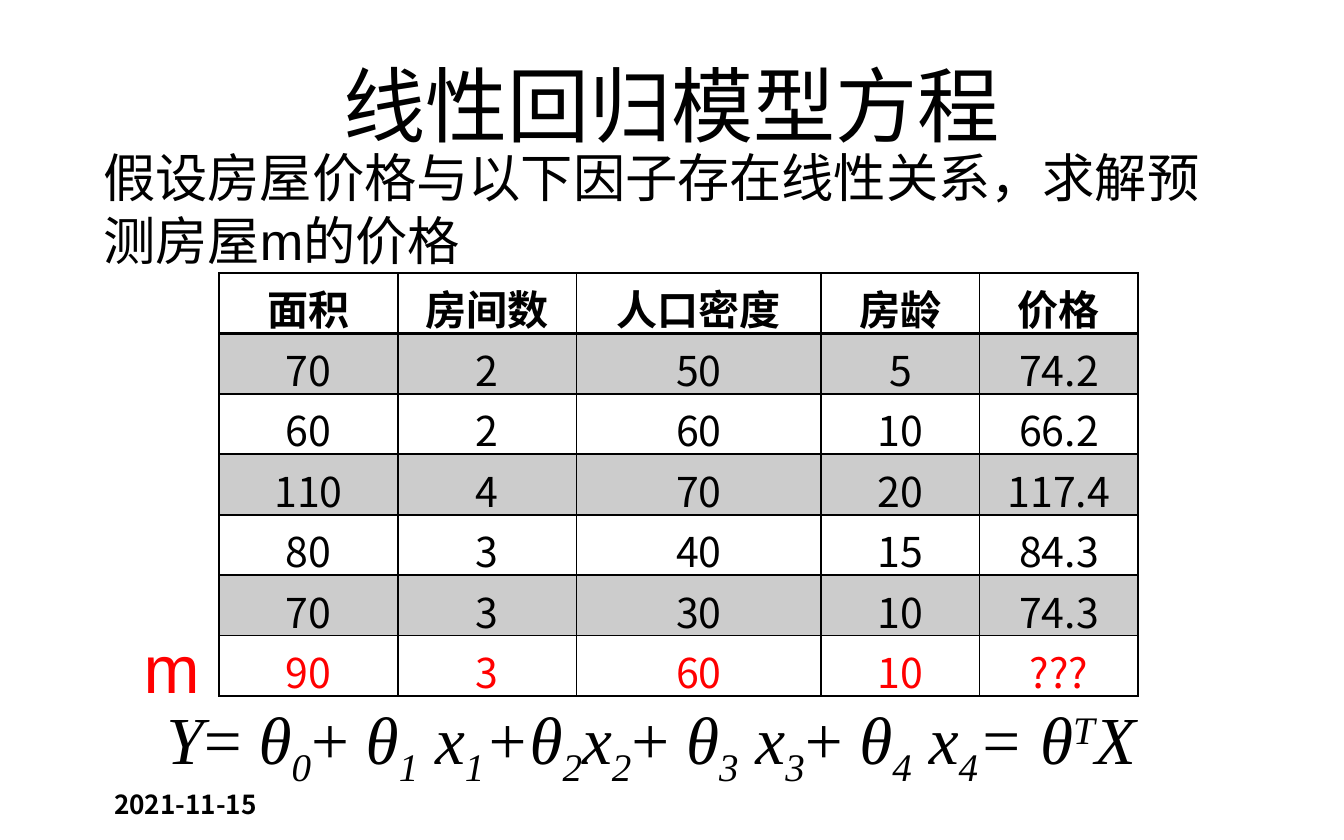
import pptx
import pptx.util
import pptx.dml.color
import pptx.enum.text
import pptx.oxml.ns
from dataclasses import dataclass
from lxml import etree

Inches = pptx.util.Inches
Pt = pptx.util.Pt
Align = pptx.enum.text.PP_ALIGN
Anchor = pptx.enum.text.MSO_ANCHOR
qn = pptx.oxml.ns.qn


@dataclass(frozen=True)
class Theme:
    ink: str = "000000"
    red: str = "FF0000"
    serif: str = "Times New Roman"
    sans: str = "Arial"
    han: str = "Noto Sans CJK SC"
    title: int = 44
    math: int = 36
    body: int = 28
    cell: int = 22
    date: int = 14


THEME = Theme()
HEAD = ["面积", "房间数", "人口密度", "房龄", "价格"]
HOMES = [
    ["70", "2", "50", "5", "74.2"],
    ["60", "2", "60", "10", "66.2"],
    ["110", "4", "70", "20", "117.4"],
    ["80", "3", "40", "15", "84.3"],
    ["70", "3", "30", "10", "74.3"],
    ["90", "3", "60", "10", "???"],
]
WIDTHS = [1.33, 1.33, 1.82, 1.18, 1.18]
ROW = 0.45
TERMS = [
    ("Y", 0, True), ("= ", 0, False), ("θ", 0, True), ("0", -25, True),
    ("+ ", 0, False), ("θ", 0, True), ("1", -25, True), (" x", 0, True),
    ("1", -25, True), ("+θ", 0, True), ("2", -25, True), ("x", 0, True),
    ("2", -25, True), ("+ ", 0, False), ("θ", 0, True), ("3", -25, True),
    (" x", 0, True), ("3", -25, True), ("+ ", 0, False), ("θ", 0, True),
    ("4", -25, True), (" x", 0, True), ("4", -25, True), ("= θ", 0, True),
    ("T", 30, True), ("X", 0, True),
]


def style(para, size, face, color=THEME.ink, bold=False):
    font = para.font
    font.size, font.name, font.bold = Pt(size), face, bold
    font.color.rgb = pptx.dml.color.RGBColor.from_string(color)


def place(shape, left, top, width, height):
    shape.left, shape.top = Inches(left), Inches(top)
    shape.width, shape.height = Inches(width), Inches(height)


def add_title(slide, text):
    title = slide.shapes.title
    place(title, 0.75, 0.41, 8.5, 0.72)
    title.text_frame.text = text
    title.text_frame.vertical_anchor = Anchor.MIDDLE
    para = title.text_frame.paragraphs[0]
    para.alignment = Align.CENTER
    style(para, THEME.title, THEME.serif)


def add_text(slide, box, text, size, face, color=THEME.ink, bold=False):
    shape = slide.shapes.add_textbox(*map(Inches, box))
    shape.text_frame.word_wrap = True
    para = shape.text_frame.paragraphs[0]
    para.text = text
    style(para, size, face, color, bold)
    return para


def add_math(slide, box):
    para = add_text(slide, box, "", THEME.math, THEME.serif)
    for text, base, slant in TERMS:
        run = para.add_run()
        run.text = text
        run.font.italic = slant
        if base:
            run.font._element.set("baseline", str(base * 1000))


def add_edge(props, side, width):
    line = etree.SubElement(props, qn(f"a:ln{side}"), w=str(Pt(width)))
    fill = etree.SubElement(line, qn("a:solidFill"))
    etree.SubElement(fill, qn("a:srgbClr"), val=THEME.ink)


def fill_cell(cell, text, row):
    head, last = row == 0, row == len(HOMES)
    cell.margin_top = cell.margin_bottom = Inches(0.04)
    para = cell.text_frame.paragraphs[0]
    para.text = text
    para.alignment = Align.CENTER
    style(para, THEME.cell, THEME.han, THEME.red if last else THEME.ink, head)
    props = cell._tc.get_or_add_tcPr()
    for side in "LRTB":
        heavy = (side == "B" and head) or (side == "T" and row == 1)
        add_edge(props, side, 2 if heavy else 1)
    if row % 2:
        cell.fill.solid()
        cell.fill.fore_color.rgb = pptx.dml.color.RGBColor.from_string(THEME.ink)
        tint = props.find(qn("a:solidFill")).find(qn("a:srgbClr"))
        etree.SubElement(tint, qn("a:alpha"), val="20000")
    else:
        cell.fill.background()


def add_grid(slide, left, top):
    rows = [HEAD] + HOMES
    size = Inches(sum(WIDTHS)), Inches(ROW * len(rows))
    frame = slide.shapes.add_table(
        len(rows), len(HEAD), Inches(left), Inches(top), *size)
    table = frame.table
    table.first_row = table.horz_banding = False
    for col, width in zip(table.columns, WIDTHS):
        col.width = Inches(width)
    for i, row in enumerate(rows):
        table.rows[i].height = Inches(ROW)
        for j, text in enumerate(row):
            fill_cell(table.cell(i, j), text, i)


def main():
    deck = pptx.Presentation()
    deck.slide_width, deck.slide_height = Inches(10), Inches(6.25)
    slide = deck.slides.add_slide(deck.slide_layouts[5])
    add_title(slide, "线性回归模型方程")
    add_text(slide, (0.75, 5.82, 2.08, 0.42), "2021-11-15",
             THEME.date, THEME.han, bold=True)
    add_text(slide, (0.67, 1.03, 8.58, 1.04),
             "假设房屋价格与以下因子存在线性关系，求解预测房屋m的价格",
             THEME.body, THEME.sans)
    add_grid(slide, 1.63, 2.03)
    add_math(slide, (1.14, 5.14, 8.21, 0.71))
    add_text(slide, (0.97, 4.61, 0.65, 0.71), "m",
             THEME.math, THEME.sans, THEME.red)
    deck.save("out.pptx")


if __name__ == "__main__":
    main()
